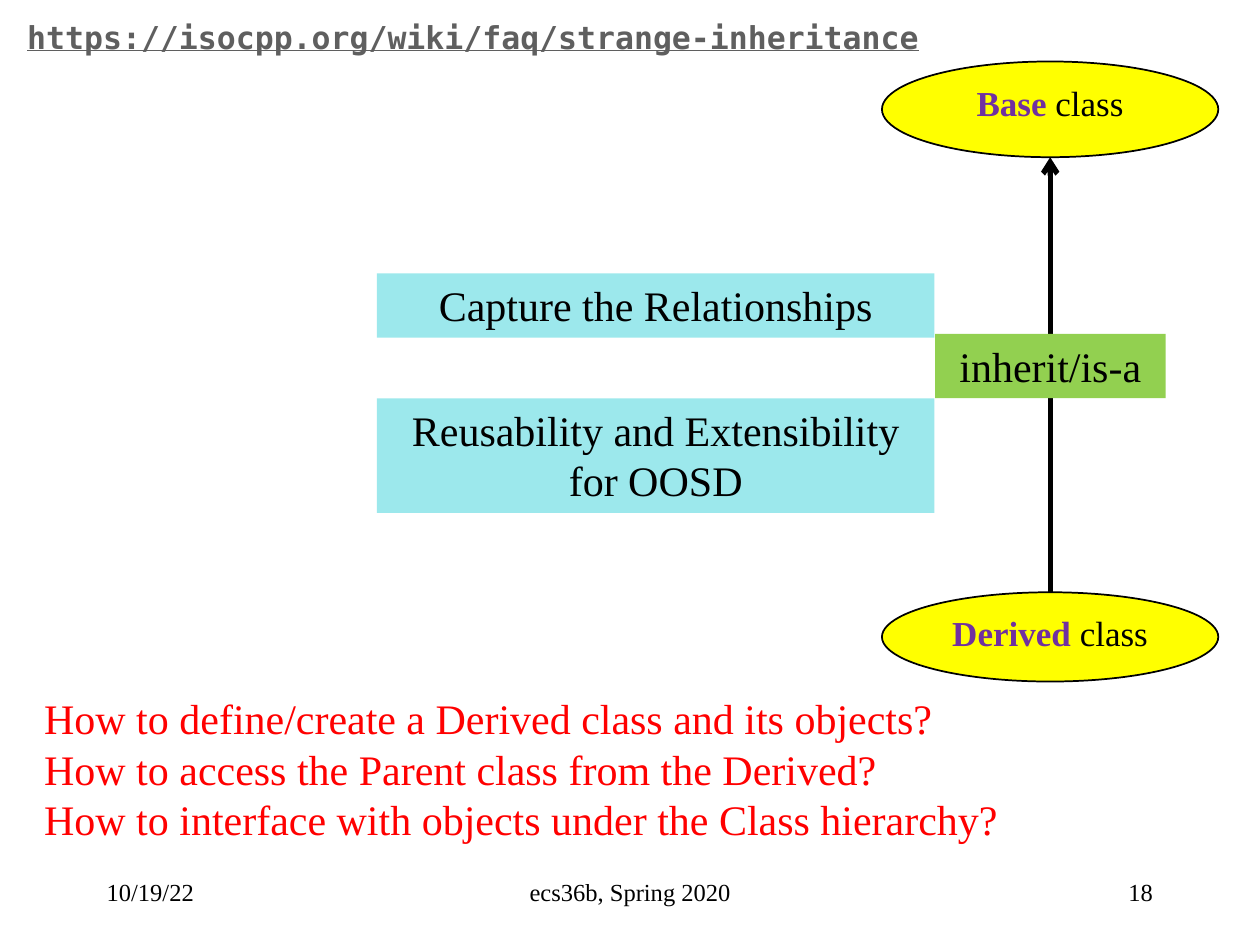
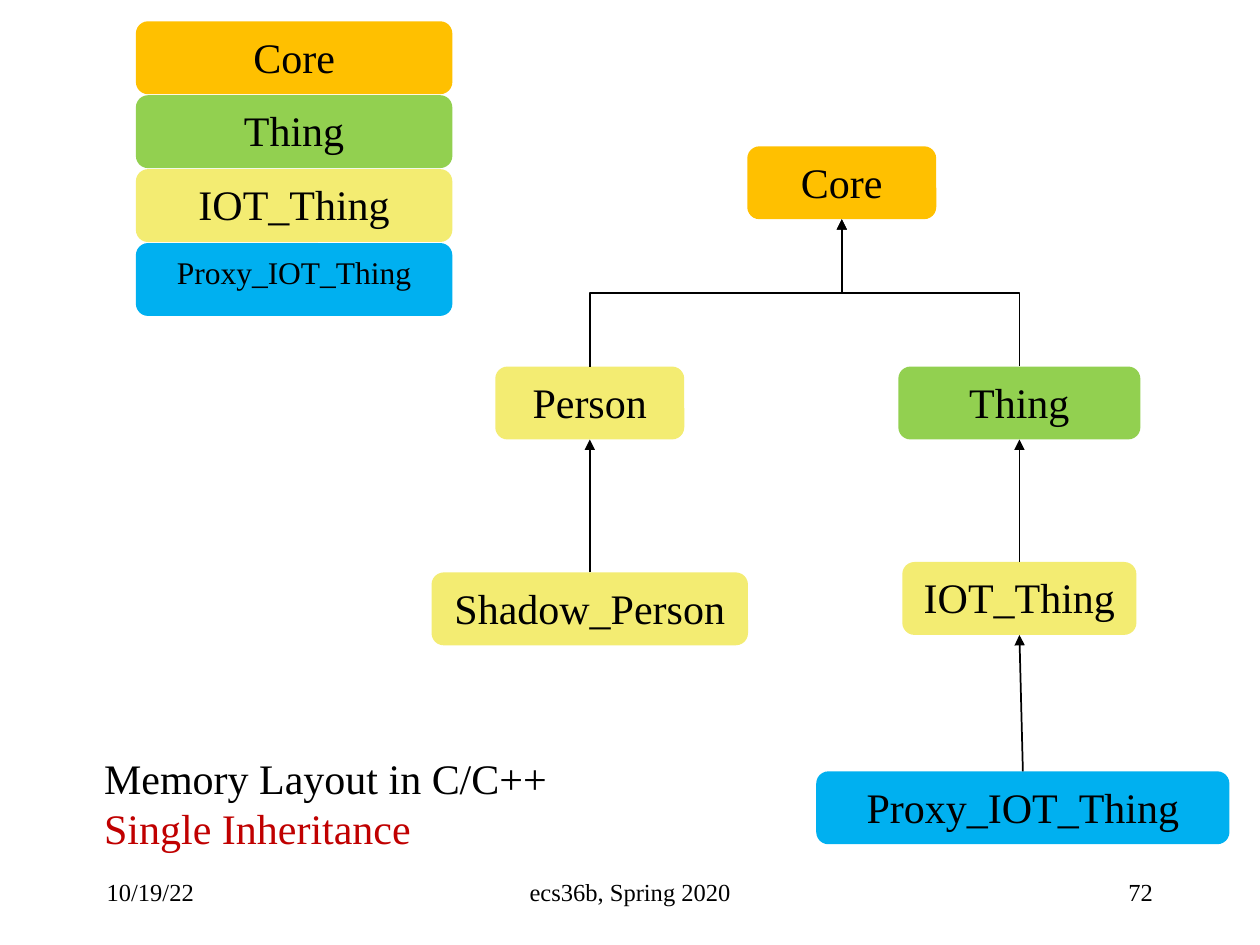
from dataclasses import dataclass

from lxml.etree import SubElement
from pptx import Presentation
from pptx.dml.color import RGBColor
from pptx.enum.shapes import MSO_CONNECTOR, MSO_SHAPE
from pptx.enum.text import MSO_ANCHOR, PP_ALIGN
from pptx.oxml.ns import qn
from pptx.util import Cm, Pt


@dataclass(frozen=True)
class Theme:
    font: str = "Times New Roman"
    code_font: str = "DejaVu Sans Mono"
    black: str = "000000"
    gray: str = "5F5F5F"
    purple: str = "7030A0"
    red: str = "FF0000"
    dark_red: str = "C00000"
    yellow: str = "FFFF00"
    green: str = "92D050"
    cyan: str = "9CE8EC"
    orange: str = "FFC000"
    cream: str = "F3EC72"
    blue: str = "00B0F0"
    footer_size: int = 14
    small_size: int = 18
    class_size: int = 20
    body_size: int = 24


@dataclass(frozen=True)
class Box:
    left: float
    top: float
    width: float
    height: float

    def inside(self, left, top, width, height):
        return Box(self.left + left, self.top + top, width, height)

    def lengths(self):
        return [Cm(value) for value in (self.left, self.top, self.width, self.height)]


THEME = Theme()
PAGE = Box(0, 0, 25.4, 19.05)
NODE_HEIGHT = 1.47


def apply_format(target, values):
    for name, value in values.items():
        setattr(target, name, value)


def write_text(shape, lines, alignment=PP_ALIGN.LEFT, anchor=MSO_ANCHOR.TOP, **shared):
    frame = shape.text_frame
    apply_format(frame, {"word_wrap": True, "vertical_anchor": anchor})
    for index, line in enumerate(lines):
        paragraph = frame.add_paragraph() if index else frame.paragraphs[0]
        paragraph.alignment = alignment
        for text, color, special in line:
            run = paragraph.add_run()
            run.text = text
            base = {"name": THEME.font, "size": Pt(THEME.body_size)}
            apply_format(run.font, base | shared | special)
            run.font.color.rgb = RGBColor.from_string(color)


def plain(text, color=THEME.black):
    return [(text, color, {})]


def add_text(slide, box, lines, **formats):
    text_box = slide.shapes.add_textbox(*box.lengths())
    write_text(text_box, lines, **formats)


def add_figure(slide, kind, box, fill, lines, outline=None, **formats):
    shape = slide.shapes.add_shape(kind, *box.lengths())
    shape.shadow.inherit = False
    shape.fill.solid()
    shape.fill.fore_color.rgb = RGBColor.from_string(fill)
    if outline:
        shape.line.color.rgb = RGBColor.from_string(outline)
        shape.line.width = Pt(1)
    else:
        shape.line.fill.background()
    write_text(shape, lines, alignment=PP_ALIGN.CENTER, **formats)
    return shape


def add_arrow(slide, kind, start, end, width, head):
    connector = slide.shapes.add_connector(kind, *start, *end)
    connector.line.color.rgb = RGBColor.from_string(THEME.black)
    connector.line.width = Pt(width)
    SubElement(connector.line._get_or_add_ln(), qn("a:tailEnd"), type=head)
    SubElement(connector._element.spPr, qn("a:effectLst"))
    return connector


def top_middle(shape):
    return shape.left + shape.width // 2, shape.top


def bottom_middle(shape):
    return shape.left + shape.width // 2, shape.top + shape.height


def link_straight(slide, child, parent):
    arrow = add_arrow(slide, MSO_CONNECTOR.STRAIGHT, top_middle(child),
                      bottom_middle(parent), 1, "triangle")
    arrow.begin_connect(child, 0)
    arrow.end_connect(parent, 2)


def link_elbow(slide, child, parent):
    child_x, child_y = top_middle(child)
    parent_x, parent_y = bottom_middle(parent)
    middle_x, middle_y = (child_x + parent_x) // 2, (child_y + parent_y) // 2
    half_rise, half_run = (child_y - parent_y) // 2, (child_x - parent_x) // 2
    arrow = add_arrow(slide, MSO_CONNECTOR.ELBOW,
                      (middle_x - half_rise, middle_y + half_run),
                      (middle_x + half_rise, middle_y - half_run), 1, "triangle")
    arrow._element.spPr.find(qn("a:xfrm")).set("rot", str(270 * 60000))


def add_footer(slide, box, number):
    parts = [
        (0, 5.28, "10/19/22", PP_ALIGN.LEFT),
        (6.78, 8.05, "ecs36b, Spring 2020", PP_ALIGN.CENTER),
        (16.31, 5.28, str(number), PP_ALIGN.RIGHT),
    ]
    for left, width, text, alignment in parts:
        add_text(slide, box.inside(left, 0, width, box.height), [plain(text)],
                 alignment=alignment, anchor=MSO_ANCHOR.MIDDLE,
                 size=Pt(THEME.footer_size))


def add_class_pair(slide, box):
    ellipses = []
    for word, top, height in [("Base", 0, 1.93), ("Derived", 10.7, 1.8)]:
        line = [(word, THEME.purple, {"bold": True}), (" class", THEME.black, {})]
        ellipses.append(add_figure(
            slide, MSO_SHAPE.OVAL, box.inside(0, top, box.width, height),
            THEME.yellow, [line], outline=THEME.black, size=Pt(THEME.class_size)))
    base, derived = ellipses
    arrow = add_arrow(slide, MSO_CONNECTOR.STRAIGHT, top_middle(derived),
                      bottom_middle(base), 3, "arrow")
    arrow.begin_connect(derived, 0)


def add_relationship_labels(slide, box):
    labels = [
        (11.25, 1.22, 4.65, 1.3, THEME.green, ["inherit/is-a"]),
        (0, 0, 11.24, 1.3, THEME.cyan, ["Capture the Relationships"]),
        (0, 2.52, 11.24, 2.31, THEME.cyan,
         ["Reusability and Extensibility", "for OOSD"]),
    ]
    for left, top, width, height, fill, texts in labels:
        add_figure(slide, MSO_SHAPE.RECTANGLE, box.inside(left, top, width, height),
                   fill, [plain(text) for text in texts])


def add_node(slide, box, text, fill, size=THEME.body_size):
    return add_figure(slide, MSO_SHAPE.ROUNDED_RECTANGLE, box, fill, [plain(text)],
                      size=Pt(size))


def add_memory_stack(slide, box):
    layers = [
        ("Core", THEME.orange, THEME.body_size),
        ("Thing", THEME.green, THEME.body_size),
        ("IOT_Thing", THEME.cream, THEME.body_size),
        ("Proxy_IOT_Thing", THEME.blue, THEME.small_size),
    ]
    step = (box.height - NODE_HEIGHT) / (len(layers) - 1)
    for index, (text, fill, size) in enumerate(layers):
        layer_box = box.inside(0, index * step, box.width, NODE_HEIGHT)
        add_node(slide, layer_box, text, fill, size)


def add_class_tree(slide, box):
    classes = [
        ("Core", 8.26, 0, 3.81, THEME.orange),
        ("Person", 3.18, 4.44, 3.81, THEME.cream),
        ("Thing", 11.84, 4.44, 4.88, THEME.green),
        ("Shadow_Person", 3.18, 8.59, 6.38, THEME.cream),
        ("IOT_Thing", 11.84, 8.38, 4.72, THEME.cream),
        ("Proxy_IOT_Thing", 11.91, 12.6, 8.33, THEME.blue),
    ]
    nodes = {
        text: add_node(slide, box.inside(center - width / 2, top, width, NODE_HEIGHT),
                       text, fill)
        for text, center, top, width, fill in classes
    }
    links = [
        ("Person", "Core", link_elbow),
        ("Thing", "Core", link_elbow),
        ("IOT_Thing", "Thing", link_straight),
        ("Proxy_IOT_Thing", "IOT_Thing", link_straight),
        ("Shadow_Person", "Person", link_straight),
    ]
    for child, parent, link in links:
        link(slide, nodes[child], nodes[parent])


def build_slide(presentation, number):
    slide = presentation.slides.add_slide(presentation.slide_layouts[6])
    add_footer(slide, PAGE.inside(1.9, 17.35, 21.59, 1.27), number)
    return slide


def build_relationship_slide(presentation, page):
    slide = build_slide(presentation, 18)
    add_class_pair(slide, page.inside(17.78, 1.24, 6.78, 12.5))
    add_relationship_labels(slide, page.inside(7.6, 5.51, 15.9, 4.83))
    questions = [
        "How to define/create a Derived class and its objects?",
        "How to access the Parent class from the Derived?",
        "How to interface with objects under the Class hierarchy?",
    ]
    add_text(slide, page.inside(0.64, 13.84, 19.91, 3.33),
             [plain(question, THEME.red) for question in questions])
    add_text(slide, page.inside(0.3, 0.23, 19.35, 1.02),
             [plain("https://isocpp.org/wiki/faq/strange-inheritance", THEME.gray)],
             name=THEME.code_font, size=Pt(THEME.small_size), bold=True, underline=True)


def build_memory_slide(presentation, page):
    slide = build_slide(presentation, 72)
    add_class_tree(slide, page.inside(8.71, 2.95, 16.08, 14.07))
    add_memory_stack(slide, page.inside(2.74, 0.43, 6.38, 5.94))
    add_text(slide, page.inside(1.85, 15.04, 9.53, 2.31),
             [plain("Memory Layout in C/C++"),
              plain("Single Inheritance", THEME.dark_red)])


def main():
    presentation = Presentation()
    apply_format(presentation, {"slide_width": Cm(PAGE.width),
                                "slide_height": Cm(PAGE.height)})
    build_relationship_slide(presentation, PAGE)
    build_memory_slide(presentation, PAGE)
    presentation.save("out.pptx")


if __name__ == "__main__":
    main()
